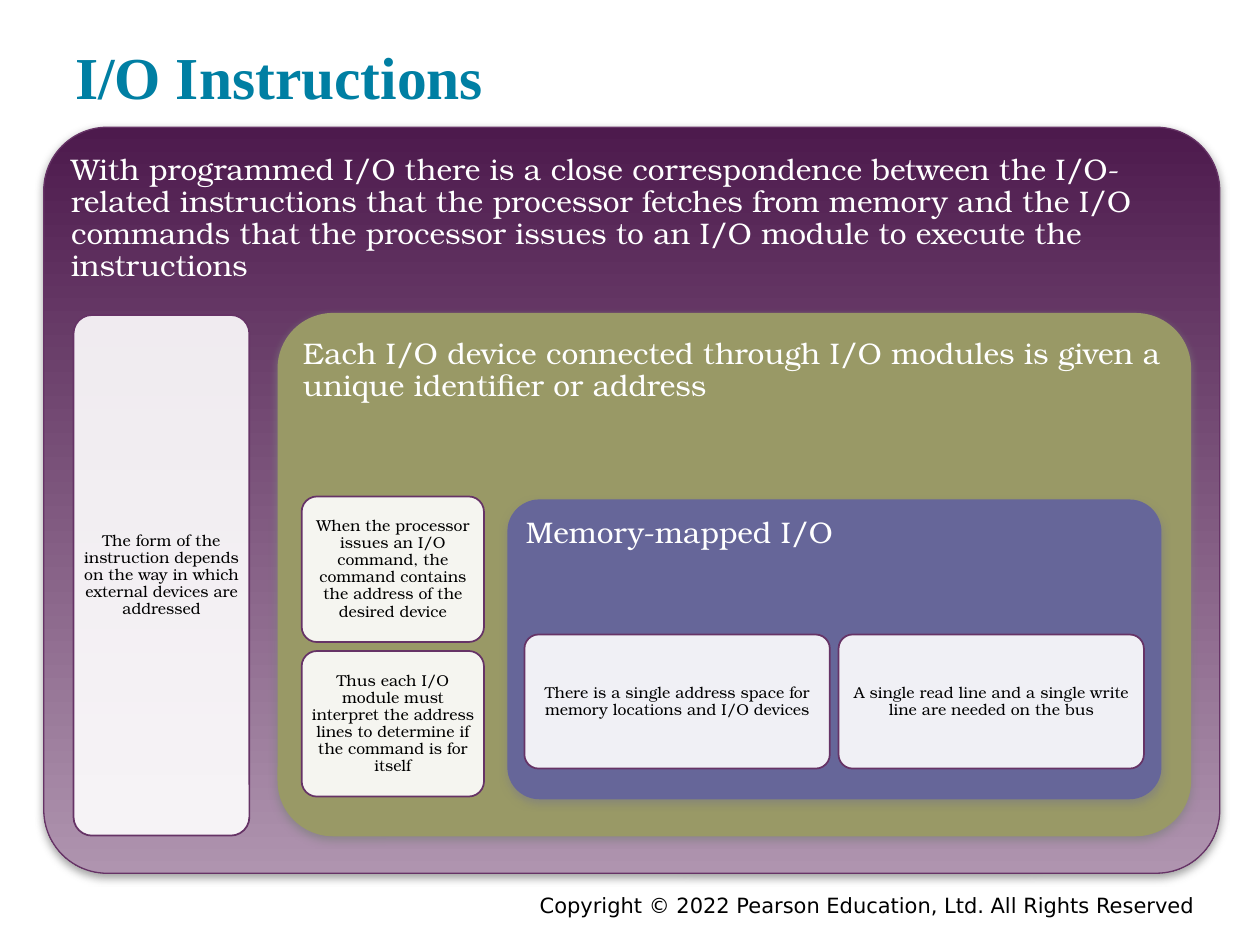
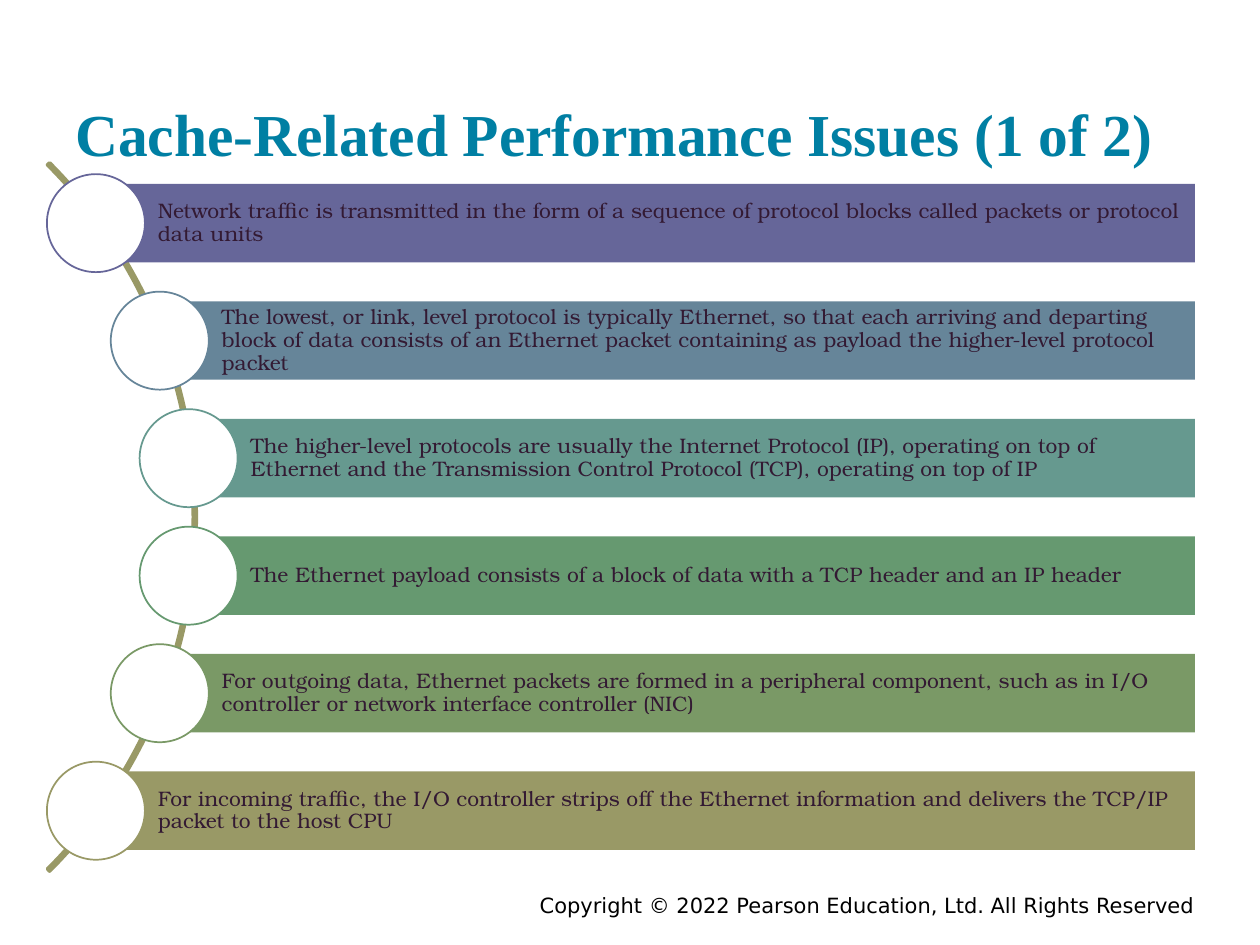
import math

import lxml.etree
import pptx
import pptx.dml.color
import pptx.enum.shapes
import pptx.enum.text
import pptx.oxml.ns
import pptx.util

Pt = pptx.util.Pt
KIND = pptx.enum.shapes.MSO_SHAPE
ANCHOR = pptx.enum.text.MSO_ANCHOR
ALIGN = pptx.enum.text.PP_ALIGN

SERIF, BODY, SANS = "Times New Roman", "TeX Gyre Bonum", "DejaVu Sans"
TEAL, PLUM, DARK, OLIVE, WHITE, BLACK = (
    "007FA3", "663366", "331A33", "999966", "FFFFFF", "000000")
FOOTER = "Copyright © 2022 Pearson Education, Ltd. All Rights Reserved"

# Panels and cards: (left, top, width, height), then text
PANELS = [
    ((25, 72.7, 672, 426.3), 0.085, ("4D1A4D", "AF94AF"), PLUM,
     "With programmed I/O there is a close correspondence between the "
     "I/O-related instructions that the processor fetches from memory and the "
     "I/O commands that the processor issues to an I/O module to execute the "
     "instructions"),
    ((159, 179.2, 521.3, 298.3), 0.105, (OLIVE,), OLIVE,
     "Each I/O device connected through I/O modules is given a unique "
     "identifier or address"),
    ((290.3, 285.8, 373, 170.6), 0.105, ("666699",), "666699",
     "Memory-mapped I/O"),
]
CARDS = [
    ((42, 180, 100.5, 297.5),
     "The form of the instruction depends on the way in which external "
     "devices are addressed"),
    ((172.4, 283.7, 104.2, 83.2),
     "When the processor issues an I/O command, the command contains the "
     "address of the desired device"),
    ((172.4, 372, 104.2, 83.2),
     "Thus each I/O module must interpret the address lines to determine if "
     "the command is for itself"),
    ((299.7, 362.6, 174.5, 76.6),
     "There is a single address space for memory locations and I/O devices"),
    ((479.2, 362.6, 174.5, 76.6),
     "A single read line and a single write line are needed on the bus"),
]

BARS = [
    ("666699", "Network traffic is transmitted in the form of a sequence of "
     "protocol blocks called packets or protocol data units"),
    ("668599", "The lowest, or link, level protocol is typically Ethernet, so "
     "that each arriving and departing block of data consists of an Ethernet "
     "packet containing as payload the higher-level protocol packet"),
    ("66998F", "The higher-level protocols are usually the Internet Protocol "
     "(IP), operating on top of Ethernet and the Transmission Control Protocol "
     "(TCP), operating on top of IP"),
    ("669970", "The Ethernet payload consists of a block of data with a TCP "
     "header and an IP header"),
    ("7A9966", "For outgoing data, Ethernet packets are formed in a peripheral "
     "component, such as in I/O controller or network interface controller "
     "(NIC)"),
    (OLIVE, "For incoming traffic, the I/O controller strips off the Ethernet "
     "information and delivers the TCP/IP packet to the host CPU"),
]
BAR_H, STEP, RIGHT, DOT = 44.8, 67.15, 682.8, 56
ARC_X, ARC_Y, ARC_D, REACH = -174, 295.4, 572.4, 283.8


def rgb(code):
    return pptx.dml.color.RGBColor.from_string(code)


def add_xml(parent, tag, **attrs):
    return lxml.etree.SubElement(parent, pptx.oxml.ns.qn(tag), attrs)


def write(shape, text, font, size, color, inset, anchor=ANCHOR.TOP,
          align=ALIGN.LEFT, bold=False, gap=1.0):
    """Fill a shape with one run; inset is left, top, right, bottom."""
    frame = shape.text_frame
    frame.word_wrap = True
    frame.vertical_anchor = anchor
    (frame.margin_left, frame.margin_top,
     frame.margin_right, frame.margin_bottom) = map(Pt, inset)
    para = frame.paragraphs[0]
    para.alignment = align
    para.line_spacing = gap
    run = para.add_run()
    run.text = text
    run.font.name = font
    run.font.size = Pt(size)
    run.font.bold = bold
    run.font.color.rgb = rgb(color)


def draw(slide, kind, box, fills=(), line=None, width=1.0, adjust=()):
    """Add a plain shape; two fills make a gradient from top to bottom."""
    shape = slide.shapes.add_shape(kind, *map(Pt, box))
    shape.shadow.inherit = False
    for i, value in enumerate(adjust):
        shape.adjustments[i] = value
    if len(fills) == 2:
        shape.fill.gradient()
        shape.fill.gradient_angle = 270
        for stop, code, place in zip(shape.fill.gradient_stops, fills, (0, 1)):
            stop.color.rgb = rgb(code)
            stop.position = place
    elif fills:
        shape.fill.solid()
        shape.fill.fore_color.rgb = rgb(fills[0])
    else:
        shape.fill.background()
    if line:
        shape.line.color.rgb = rgb(line)
        shape.line.width = Pt(width)
    else:
        shape.line.fill.background()
    return shape


def cast(shape):
    """Give the shape a soft grey shadow below it."""
    effects = shape._element.spPr.find(pptx.oxml.ns.qn("a:effectLst"))
    shade = add_xml(effects, "a:outerShdw", blurRad=str(Pt(5)),
                    dist=str(Pt(2)), dir="5400000", rotWithShape="0")
    color = add_xml(shade, "a:srgbClr", val="808080")
    add_xml(color, "a:alpha", val="75000")


def fade(shape, percent):
    """Set how opaque the solid fill is."""
    color = shape._element.spPr.xpath("a:solidFill/a:srgbClr")[0]
    add_xml(color, "a:alpha", val=str(percent * 1000))


def start(deck, title, top, height):
    """Add a slide with its footer and title."""
    slide = deck.slides.add_slide(deck.slide_layouts[6])
    foot = slide.shapes.add_textbox(*map(Pt, (126, 506.2, 563.8, 15.8)))
    write(foot, FOOTER, SANS, 12, BLACK, (7.2, 3.6, 7.2, 3.6),
          align=ALIGN.RIGHT)
    head = slide.shapes.add_textbox(*map(Pt, (36, top, 648, height)))
    write(head, title, SERIF, 34, TEAL, (7.2,) * 4, ANCHOR.BOTTOM, bold=True)
    return slide


def build_panels(deck):
    slide = start(deck, "I/O Instructions", 26, 44.6)
    for box, curve, fills, line, text in PANELS:
        panel = draw(slide, KIND.ROUNDED_RECTANGLE, box, fills, line, 0.75,
                     (curve,))
        cast(panel)
        write(panel, text, BODY, 17, WHITE, (5,) * 4, gap=0.9)
    for box, text in CARDS:
        card = draw(slide, KIND.ROUNDED_RECTANGLE, box, (WHITE,), PLUM, 1,
                    (0.105,))
        fade(card, 90)
        write(card, text, BODY, 9, BLACK, (2.7,) * 4, ANCHOR.MIDDLE,
              ALIGN.CENTER, gap=0.9)


def build_bars(deck):
    slide = start(deck, "Cache-Related Performance Issues (1 of 2)", 17.3, 86.4)
    draw(slide, KIND.BLOCK_ARC,
         (ARC_X - ARC_D / 2, ARC_Y - ARC_D / 2, ARC_D, ARC_D),
         line=OLIVE, width=2, adjust=(189, 27, 0.003))
    for i, (color, text) in enumerate(BARS):
        rise = (i - (len(BARS) - 1) / 2) * STEP
        mid = ARC_Y + rise
        left = ARC_X + math.sqrt(REACH ** 2 - rise ** 2)
        bar = draw(slide, KIND.RECTANGLE,
                   (left, mid - BAR_H / 2, RIGHT - left, BAR_H), (color,))
        write(bar, text, BODY, 12, DARK, (35.4, 2.4, 2.4, 2.4), ANCHOR.MIDDLE,
              gap=0.9)
        draw(slide, KIND.OVAL, (left - DOT / 2, mid - DOT / 2, DOT, DOT),
             (WHITE,), color)


def main():
    deck = pptx.Presentation()
    deck.slide_width, deck.slide_height = Pt(720), Pt(540)
    build_panels(deck)
    build_bars(deck)
    deck.save("out.pptx")


if __name__ == "__main__":
    main()
